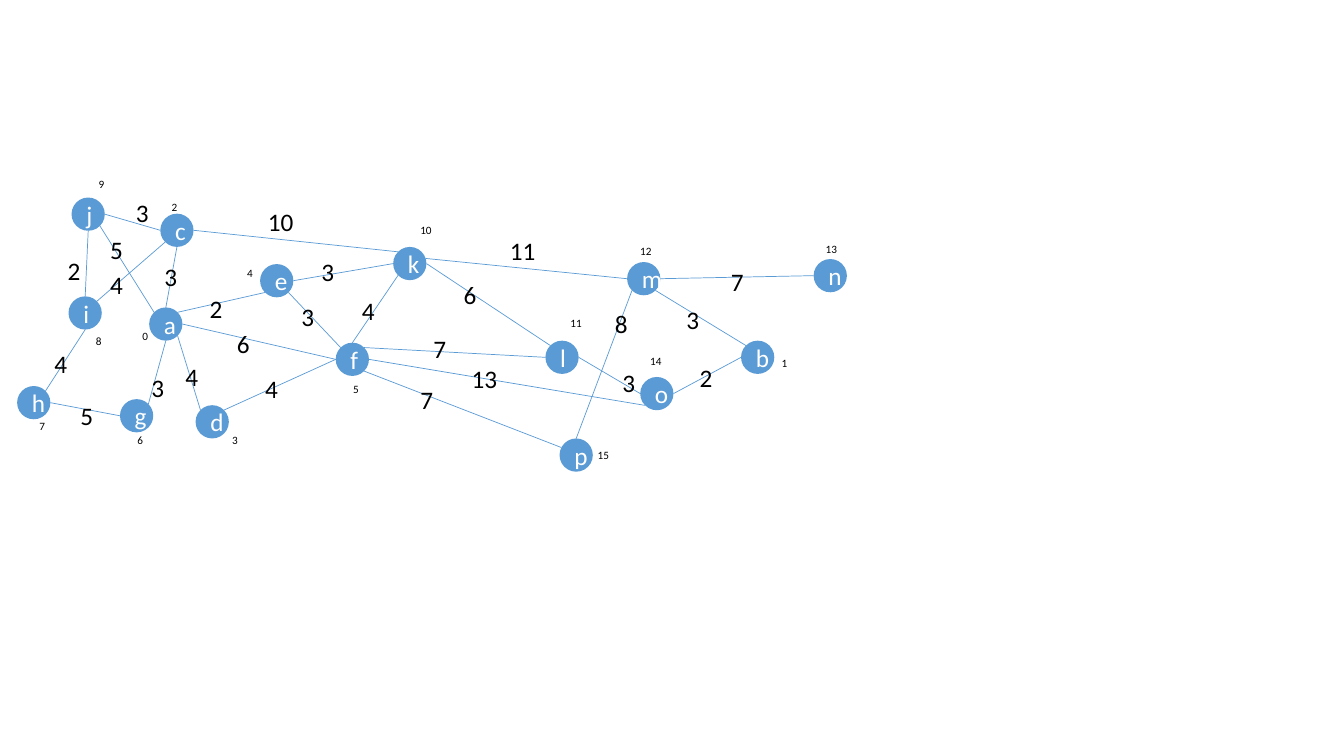
from dataclasses import dataclass
from enum import IntEnum
from math import cos, pi, sin

from lxml import etree
from pptx import Presentation
from pptx import util as u
from pptx.dml.color import RGBColor
from pptx.enum import shapes, text
from pptx.oxml import ns


@dataclass(frozen=True)
class Theme:
    font: str = "Calibri"
    blue: RGBColor = RGBColor(0x5B, 0x9B, 0xD5)
    white: RGBColor = RGBColor(0xFF, 0xFF, 0xFF)
    black: RGBColor = RGBColor(0x00, 0x00, 0x00)
    large: int = 18
    small: int = 8
    line: float = 0.5


class Site(IntEnum):
    TOP = 0
    TOP_LEFT = 1
    LEFT = 2
    BOTTOM_LEFT = 3
    BOTTOM = 4
    BOTTOM_RIGHT = 5
    RIGHT = 6
    TOP_RIGHT = 7


THEME = Theme()
T, TL, L, BL, B, BR, R, TR = Site
DIAMETER = 0.33
NUMBER_HEIGHT, WEIGHT_HEIGHT = 0.23, 0.4
NARROW, WIDE = 0.17, 0.32

# letter: left, top, number left, number top
NODES = {
    "a": (1.48, 3.05, 1.34, 3.22),
    "b": (7.35, 3.38, 7.68, 3.49),
    "c": (1.59, 2.12, 1.63, 1.94),
    "d": (1.94, 4.02, 2.23, 4.25),
    "e": (2.58, 2.62, 2.38, 2.59),
    "f": (3.33, 3.4, 3.43, 3.74),
    "g": (1.19, 3.96, 1.29, 4.25),
    "h": (0.17, 3.83, 0.32, 4.11),
    "i": (0.68, 2.94, 0.88, 3.27),
    "j": (0.71, 1.96, 0.88, 1.71),
    "k": (3.9, 2.45, 4.07, 2.17),
    "l": (5.41, 3.38, 5.56, 3.09),
    "m": (6.22, 2.6, 6.25, 2.37),
    "n": (8.07, 2.57, 8.09, 2.36),
    "o": (6.35, 3.74, 6.35, 3.47),
    "p": (5.55, 4.35, 5.83, 4.4),
}

# start, site, end, site, weight, weight left, weight top, weight width
EDGES = [
    ("j", B, "i", T, 2, 0.6, 2.48, 0.17),
    ("j", R, "c", L, 3, 1.25, 1.91, 0.24),
    ("i", TR, "c", BL, 4, 1, 2.62, 0.19),
    ("c", B, "a", T, 3, 1.56, 2.54, 0.17),
    ("j", BR, "a", TL, 5, 1.02, 2.28, 0.17),
    ("i", B, "h", TR, 4, 0.44, 3.41, 0.34),
    ("h", R, "g", L, 5, 0.7, 3.92, 0.34),
    ("a", B, "g", TR, 3, 1.42, 3.64, 0.18),
    ("a", BR, "d", TL, 4, 1.74, 3.54, 0.41),
    ("a", TR, "e", BL, 2, 1.98, 2.86, 0.32),
    ("e", BR, "f", TL, 3, 2.89, 2.94, 0.44),
    ("e", R, "k", L, 3, 3.09, 2.49, 0.41),
    ("c", R, "k", TL, 10, 2.56, 2, 0.6),
    ("d", TR, "f", L, 4, 2.53, 3.65, 0.38),
    ("k", BL, "f", T, 4, 3.49, 2.88, 0.22),
    ("k", R, "l", TL, 6, 4.5, 2.72, 0.45),
    ("k", R + 0.4, "m", L, 11, 4.96, 2.29, 0.53),
    ("m", R, "n", L, 7, 7.15, 2.59, 0.31),
    ("m", BR, "b", TL, 3, 6.71, 2.97, 0.43),
    ("m", BL, "p", T, 8, 6, 3.01, 0.22),
    ("l", R, "o", L, 3, 6.08, 3.59, 0.19),
    ("o", R, "b", L, 2, 6.84, 3.55, 0.45),
    ("f", R, "o", BL, 13, 4.58, 3.56, 0.53),
    ("f", TR, "l", L, 7, 4.2, 3.26, 0.54),
    ("a", R, "f", L, 6, 2.25, 3.21, 0.49),
    ("f", BR, "p", TL + 0.4, 7, 4.07, 3.76, 0.45),
]


def add_span(box, words, size, color, align):
    para = box.text_frame.paragraphs[0]
    para.alignment = align
    span = para.add_run()
    span.text = words
    span.font.name = THEME.font
    span.font.size = u.Pt(size)
    span.font.color.rgb = color


def add_node(page, letter, left, top):
    node = page.shapes.add_shape(
        shapes.MSO_SHAPE.OVAL, u.Inches(left), u.Inches(top),
        u.Inches(DIAMETER), u.Inches(DIAMETER))
    node.shadow.inherit = False
    node.fill.solid()
    node.fill.fore_color.rgb = THEME.blue
    node.line.fill.background()
    node.text_frame.vertical_anchor = text.MSO_ANCHOR.MIDDLE
    add_span(node, letter, THEME.large, THEME.white, text.PP_ALIGN.CENTER)
    return node


def site_point(letter, site):
    left, top = NODES[letter][:2]
    radius, angle = DIAMETER / 2, site * pi / 4
    return (u.Inches(left + radius * (1 - sin(angle))),
            u.Inches(top + radius * (1 - cos(angle))))


def glue(edge, tag, node, site):
    if isinstance(site, Site):
        ends = edge.element.find(".//" + ns.qn("p:cNvCxnSpPr"))
        etree.SubElement(ends, ns.qn(tag), id=str(node.shape_id), idx=str(int(site)))


def add_edge(page, nodes, start, start_site, end, end_site):
    edge = page.shapes.add_connector(
        shapes.MSO_CONNECTOR.STRAIGHT,
        *site_point(start, start_site), *site_point(end, end_site))
    edge.line.color.rgb = THEME.blue
    edge.line.width = u.Pt(THEME.line)
    etree.SubElement(edge.element.spPr, ns.qn("a:effectLst"))
    glue(edge, "a:stCxn", nodes[start], start_site)
    glue(edge, "a:endCxn", nodes[end], end_site)


def add_label(page, value, left, top, width, height, size):
    box = page.shapes.add_textbox(
        u.Inches(left), u.Inches(top), u.Inches(width), u.Inches(height))
    box.text_frame.word_wrap = True
    box.text_frame.auto_size = text.MSO_AUTO_SIZE.SHAPE_TO_FIT_TEXT
    add_span(box, str(value), size, THEME.black, text.PP_ALIGN.LEFT)


def main():
    deck = Presentation()
    deck.slide_width, deck.slide_height = u.Inches(13.33), u.Inches(7.5)
    page = deck.slides.add_slide(deck.slide_layouts[6])
    nodes = {letter: add_node(page, letter, left, top)
             for letter, (left, top, *_) in NODES.items()}
    for edge in EDGES:
        add_edge(page, nodes, *edge[:4])
    for number, (_, _, left, top) in enumerate(NODES.values()):
        width = NARROW if number < 9 else WIDE
        add_label(page, number, left, top, width, NUMBER_HEIGHT, THEME.small)
    for *_, weight, left, top, width in EDGES:
        add_label(page, weight, left, top, width, WEIGHT_HEIGHT, THEME.large)
    deck.save("out.pptx")


if __name__ == "__main__":
    main()
